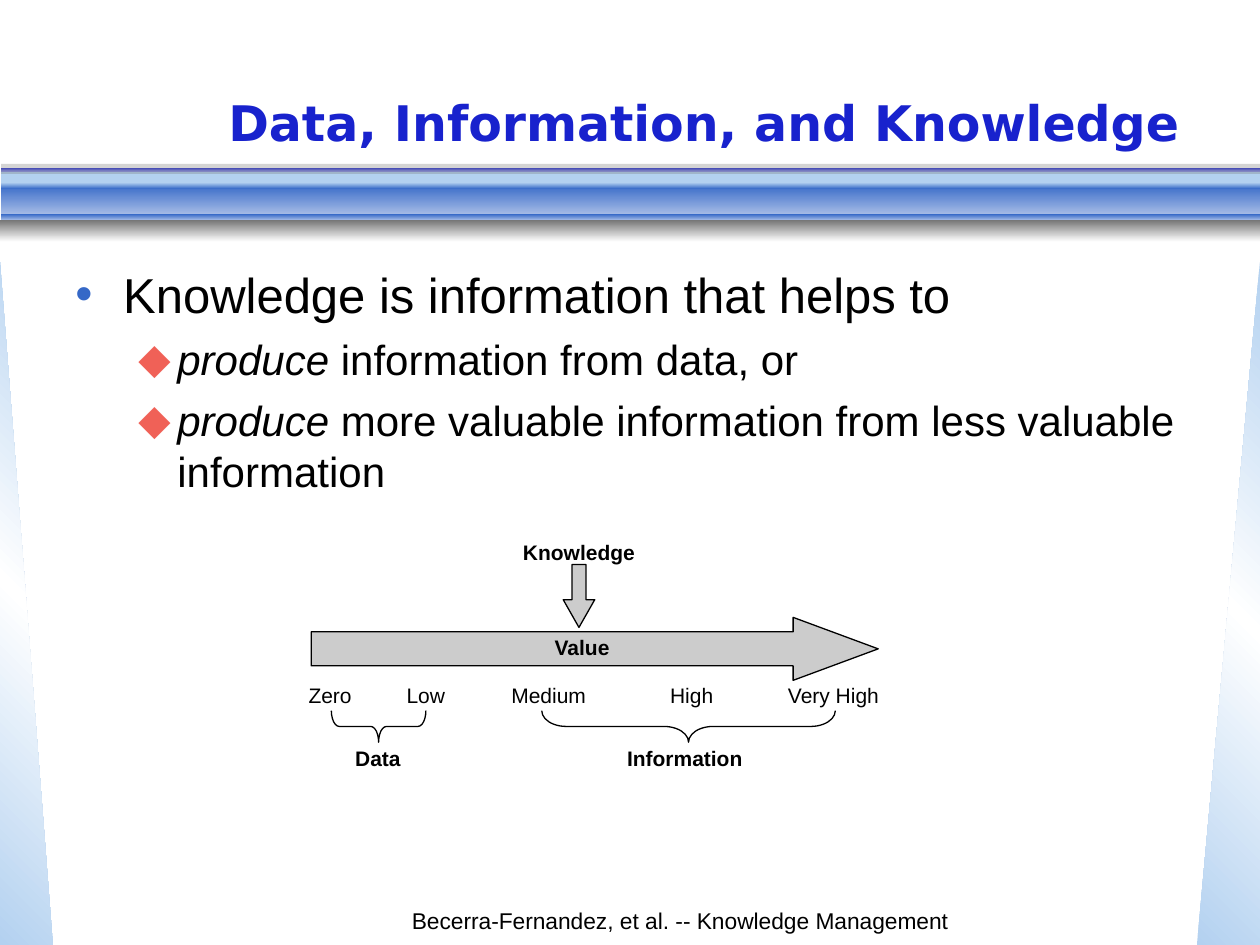
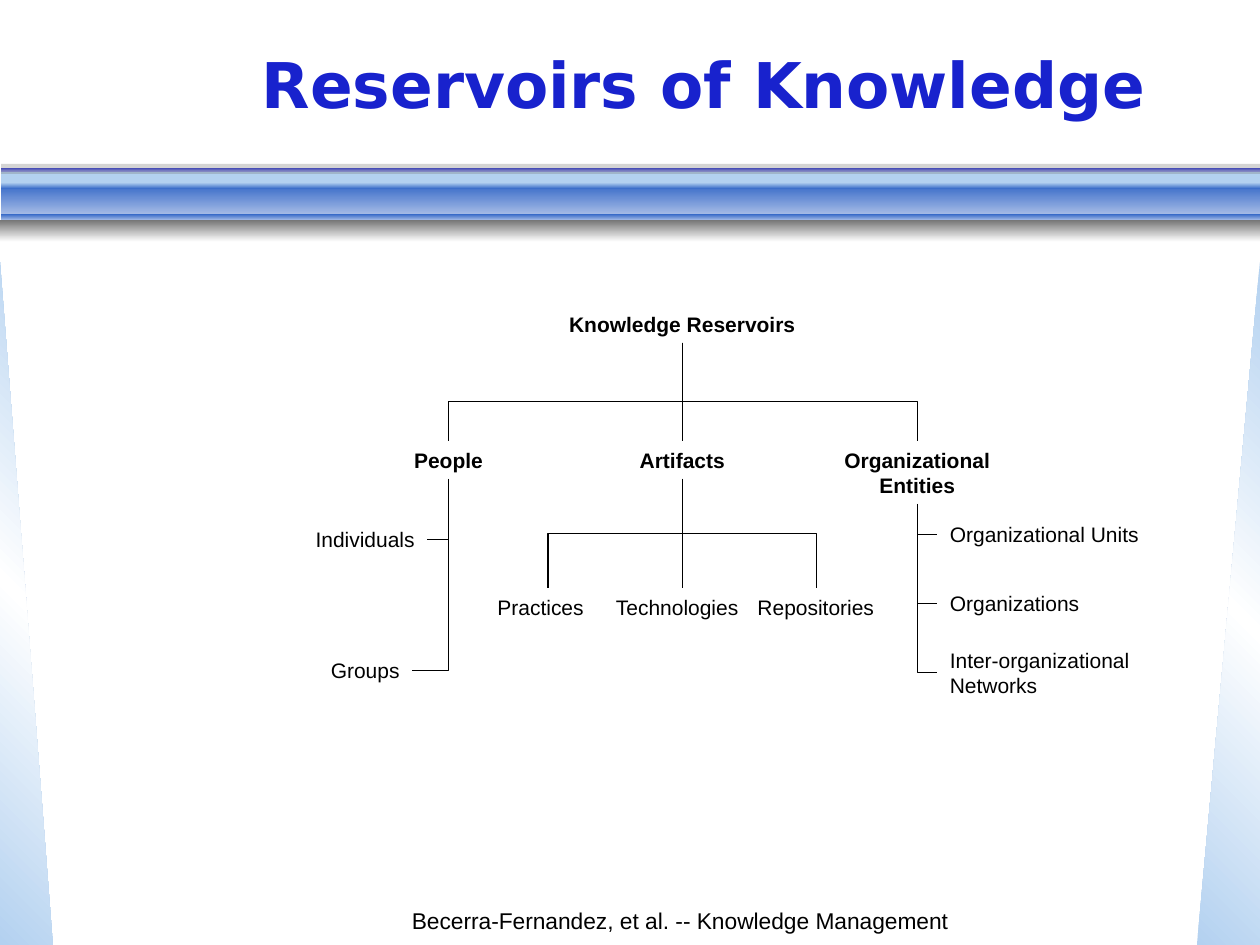
from dataclasses import dataclass

from lxml.etree import SubElement
from pptx import Presentation
from pptx.dml.color import RGBColor
from pptx.enum.shapes import MSO_CONNECTOR, MSO_SHAPE
from pptx.enum.text import MSO_ANCHOR, PP_ALIGN
from pptx.oxml import parse_xml
from pptx.oxml.ns import nsdecls, qn
from pptx.util import Inches, Pt


@dataclass(frozen=True)
class Theme:
    body_font: str = "Arial"
    title_font: str = "DejaVu Sans"
    ink: str = "000000"
    title: str = "1822CD"
    violet: str = "878DE5"
    blue: str = "3568C7"
    soft_blue: str = "A9BEE7"
    pale_blue: str = "B3D1F0"
    white: str = "FFFFFF"
    gray: str = "777777"
    arrow: str = "CCCCCC"
    coral: str = "F06157"
    title_size: float = 36
    small_title_size: float = 28
    bullet_size: float = 28
    sub_bullet_size: float = 24
    label_size: float = 12
    footer_size: float = 13
    line_width: float = 0.75


THEME = Theme()
WIDTH, HEIGHT = Inches(10), Inches(7.5)
COLUMNS = 100  # square cells: 100 columns by 75 rows
CELL = WIDTH / COLUMNS


def grid(*cells):
    """Turn columns and rows into slide lengths."""
    return [round(cell * CELL) for cell in cells]


# Shapes and fills
def set_gradient(shape, colors, angle):
    step = 100000 // (len(colors) - 1)
    stops = "".join(
        f'<a:gs pos="{index * step}"><a:srgbClr val="{color}"/></a:gs>'
        for index, color in enumerate(colors))
    gradient = parse_xml(
        f'<a:gradFill {nsdecls("a")} rotWithShape="1"><a:gsLst>{stops}</a:gsLst>'
        f'<a:lin ang="{angle * 60000}" scaled="0"/></a:gradFill>')
    shape._element.spPr.find(qn("a:prstGeom")).addnext(gradient)


def add_figure(slide, kind, box, colors=(), angle=90, alpha=None, outline=False,
               adjustments=(), rotation=0, mirrored=False):
    shape = slide.shapes.add_shape(kind, *grid(*box))
    shape.shadow.inherit = False
    shape.rotation = rotation
    for index, value in enumerate(adjustments):
        shape.adjustments[index] = value
    if len(colors) > 1:
        set_gradient(shape, colors, angle)
    elif colors:
        shape.fill.solid()
        shape.fill.fore_color.rgb = RGBColor.from_string(colors[0])
    else:
        shape.fill.background()
    if alpha is not None:
        color = shape._element.spPr.find(qn("a:solidFill"))[0]
        SubElement(color, qn("a:alpha"), val=str(alpha * 1000))
    if outline:
        shape.line.color.rgb = RGBColor.from_string(THEME.ink)
        shape.line.width = Pt(THEME.line_width)
    else:
        shape.line.fill.background()
    if mirrored:
        shape._element.spPr.xfrm.set("flipH", "1")


# Text
def add_run(paragraph, text, size=THEME.label_size, bold=False, italic=False,
            color=THEME.ink, font=THEME.body_font):
    run = paragraph.add_run()
    run.text = text
    run.font.size = Pt(size)
    run.font.bold = bold
    run.font.italic = italic
    run.font.name = font
    run.font.color.rgb = RGBColor.from_string(color)


def add_text(slide, box, text, align=PP_ALIGN.CENTER, anchor=MSO_ANCHOR.TOP,
             wrap=False, spacing=None, **run_format):
    frame = slide.shapes.add_textbox(*grid(*box)).text_frame
    frame.word_wrap = wrap
    frame.vertical_anchor = anchor
    if align == PP_ALIGN.CENTER and not wrap:
        # Tight centred labels need the whole box width to stay on one line
        frame.margin_left = frame.margin_right = 0
    for index, line in enumerate(text.split("\n")):
        paragraph = frame.add_paragraph() if index else frame.paragraphs[0]
        paragraph.alignment = align
        if spacing:
            paragraph.line_spacing = spacing
        add_run(paragraph, line, **run_format)


def add_bullet(paragraph, runs, size, symbol, symbol_font, color, indent, hanging, before):
    paragraph.space_before = Pt(before)
    properties = paragraph._p.get_or_add_pPr()
    properties.set("marL", str(Inches(indent)))
    properties.set("indent", str(-Inches(hanging)))
    bullet_color = SubElement(properties, qn("a:buClr"))
    SubElement(bullet_color, qn("a:srgbClr"), val=color)
    SubElement(properties, qn("a:buFont"), typeface=symbol_font)
    SubElement(properties, qn("a:buChar"), char=symbol)
    for text, italic in runs:
        add_run(paragraph, text, size=size, italic=italic)


# Connectors
def style_connector(connector):
    connector.line.color.rgb = RGBColor.from_string(THEME.ink)
    connector.line.width = Pt(THEME.line_width)
    SubElement(connector._element.spPr, qn("a:effectLst"))


def add_line(slide, x, top, bottom):
    style_connector(slide.shapes.add_connector(
        MSO_CONNECTOR.STRAIGHT, *grid(x, top, x, bottom)))


def add_elbow(slide, start, end, bend=None):
    """Go down, then sideways; with a bend (share of the drop), down again."""
    (x1, y1), (x2, y2) = start, end
    middle_x, middle_y = (x1 + x2) / 2, (y1 + y2) / 2
    half_drop, half_reach = (y2 - y1) / 2, abs(x2 - x1) / 2
    connector = slide.shapes.add_connector(MSO_CONNECTOR.ELBOW, *grid(
        middle_x - half_drop, middle_y - half_reach,
        middle_x + half_drop, middle_y + half_reach))
    transform = connector._element.spPr.xfrm
    transform.set("rot", str(90 * 60000))
    if x2 > x1:
        transform.set("flipV", "1")
    geometry = connector._element.spPr.find(qn("a:prstGeom"))
    if bend is None:
        geometry.set("prst", "bentConnector2")
    else:
        values = geometry.find(qn("a:avLst"))
        if values is None:
            values = SubElement(geometry, qn("a:avLst"))
        SubElement(values, qn("a:gd"), name="adj1", fmla=f"val {round(bend * 100000)}")
    style_connector(connector)


# Shared frame: side wedges, header band, footer, title
def add_frame(slide):
    wedge = (THEME.pale_blue, THEME.white, THEME.pale_blue)
    add_figure(slide, MSO_SHAPE.RIGHT_TRIANGLE, (0, 20.8, 4.2, 54.2), wedge, angle=315)
    add_figure(slide, MSO_SHAPE.RIGHT_TRIANGLE, (95, 20.8, 5, 54.2), wedge, angle=45,
               mirrored=True)
    bands = [
        (13.6, 1, (THEME.pale_blue,)),
        (14.6, 2.5, (THEME.blue, THEME.soft_blue)),
        (13.3, 0.3, (THEME.title, THEME.violet)),
        (17, 0.5, (THEME.blue, THEME.soft_blue)),
        (14.5, 0.5, (THEME.pale_blue, THEME.blue)),
    ]
    for top, height, colors in bands:
        add_figure(slide, MSO_SHAPE.RECTANGLE, (0.1, top, 99.9, height), colors)
    add_figure(slide, MSO_SHAPE.RECTANGLE, (0, 17.5, 100, 1.7), (THEME.gray, THEME.white))
    add_figure(slide, MSO_SHAPE.RECTANGLE, (0.1, 13, 99.9, 0.8), (THEME.gray,), alpha=31)
    add_text(slide, (14.8, 71.7, 78.3, 3.3),
             "Becerra-Fernandez, et al. -- Knowledge Management",
             wrap=True, spacing=0.9, size=THEME.footer_size)


def add_title(slide, text, top=0.8, size=THEME.title_size):
    add_text(slide, (12.5, top, 86.7, 11.7), text, anchor=MSO_ANCHOR.MIDDLE, wrap=True,
             size=size, bold=True, color=THEME.title, font=THEME.title_font)


# Slide 1
def build_value_slide(slide):
    add_title(slide, "Data, Information, and Knowledge", top=3.8,
              size=THEME.small_title_size)

    frame = slide.shapes.add_textbox(*grid(5, 20.5, 90, 49.5)).text_frame
    frame.word_wrap = True
    add_bullet(frame.paragraphs[0], [("Knowledge is information that helps to", False)],
               THEME.bullet_size, "•", THEME.body_font, THEME.blue, 0.38, 0.38, before=7)
    for ending in (" information from data, or",
                   " more valuable information from less valuable information"):
        add_bullet(frame.add_paragraph(), [("produce", True), (ending, False)],
                   THEME.sub_bullet_size, "◆", THEME.title_font, THEME.coral, 0.81, 0.31,
                   before=6)

    # Value arrow and its scale
    add_figure(slide, MSO_SHAPE.RIGHT_ARROW, (24.7, 49, 45, 5), (THEME.arrow,),
               outline=True, adjustments=(0.54, 1.35))
    for text, left, width in (("Zero", 23.5, 5.4), ("Low", 31.3, 5), ("Medium", 39.6, 7.9),
                              ("High", 52.2, 5.4), ("Very High", 61.5, 9.3)):
        add_text(slide, (left, 53.7, width, 3), text)
    for text, left, top, width in (("Value", 43, 49.9, 6.4), ("Knowledge", 40.5, 42.3, 10.9),
                                   ("Data", 27.2, 58.7, 5.6),
                                   ("Information", 48.8, 58.7, 11.1)):
        add_text(slide, (left, top, width, 3), text, bold=True)
    add_figure(slide, MSO_SHAPE.DOWN_ARROW, (44.7, 44.8, 2.5, 5), (THEME.arrow,),
               outline=True, adjustments=(0.44, 0.88))

    # Braces: left braces turned so that the tip points down
    depth, middle = 2.5, 57.65
    for center, span in ((30.05, 7.5), (54.65, 23.3)):
        add_figure(slide, MSO_SHAPE.LEFT_BRACE,
                   (center - depth / 2, middle - span / 2, depth, span),
                   outline=True, rotation=270, adjustments=(span / depth / 12, 0.5))


# Slide 2
def build_reservoir_slide(slide):
    add_title(slide, "Reservoirs of Knowledge")
    people, artifacts, entities = 35.6, 54.15, 72.8
    root_bottom, branch_top, branch_bottom, leaf_top = 27.2, 35, 38, 46.7

    # Root and branches
    add_text(slide, (44.2, 24.2, 19.9, 3), "Knowledge Reservoirs", bold=True)
    for text, center, width, height in (("People", people, 7.4, 3),
                                        ("Artifacts", artifacts, 8.7, 3),
                                        ("Organizational\nEntities", entities, 14, 5)):
        add_text(slide, (center - width / 2, branch_top, width, height), text, bold=True)
    for center in (people, entities):
        add_elbow(slide, (artifacts, root_bottom), (center, branch_top), bend=0.6)
    add_line(slide, artifacts, root_bottom, branch_top)

    # People
    for text, left, top, width, middle in (("Individuals", 24, 41.3, 9.9, 42.8),
                                           ("Groups", 25.2, 51.7, 7.5, 53.2)):
        add_text(slide, (left, top, width, 3), text, align=PP_ALIGN.RIGHT)
        add_elbow(slide, (people, branch_bottom), (left + width, middle))

    # Artifacts
    for text, left, width, align in (("Practices", 38.5, 10, PP_ALIGN.LEFT),
                                     ("Technologies", 47.9, 12.5, PP_ALIGN.LEFT),
                                     ("Repositories", 58.5, 12.5, PP_ALIGN.CENTER)):
        add_text(slide, (left, leaf_top, width, 3), text, align=align, wrap=True)
    for center in (43.5, 64.8):
        add_elbow(slide, (artifacts, branch_bottom), (center, leaf_top), bend=0.5)
    add_line(slide, artifacts, branch_bottom, leaf_top)

    # Organizational entities
    for text, top, width, height in (("Organizational Units", 40.9, 20, 3),
                                     ("Organizations", 46.4, 12.5, 3),
                                     ("Inter-organizational Networks", 50.9, 16.7, 5)):
        add_text(slide, (74.4, top, width, height), text, align=PP_ALIGN.LEFT, wrap=True)
        add_elbow(slide, (entities, 40), (74.4, top + height / 2))


def main():
    presentation = Presentation()
    presentation.slide_width, presentation.slide_height = WIDTH, HEIGHT
    for build in (build_value_slide, build_reservoir_slide):
        slide = presentation.slides.add_slide(presentation.slide_layouts[6])
        add_frame(slide)
        build(slide)
    presentation.save("out.pptx")


if __name__ == "__main__":
    main()
